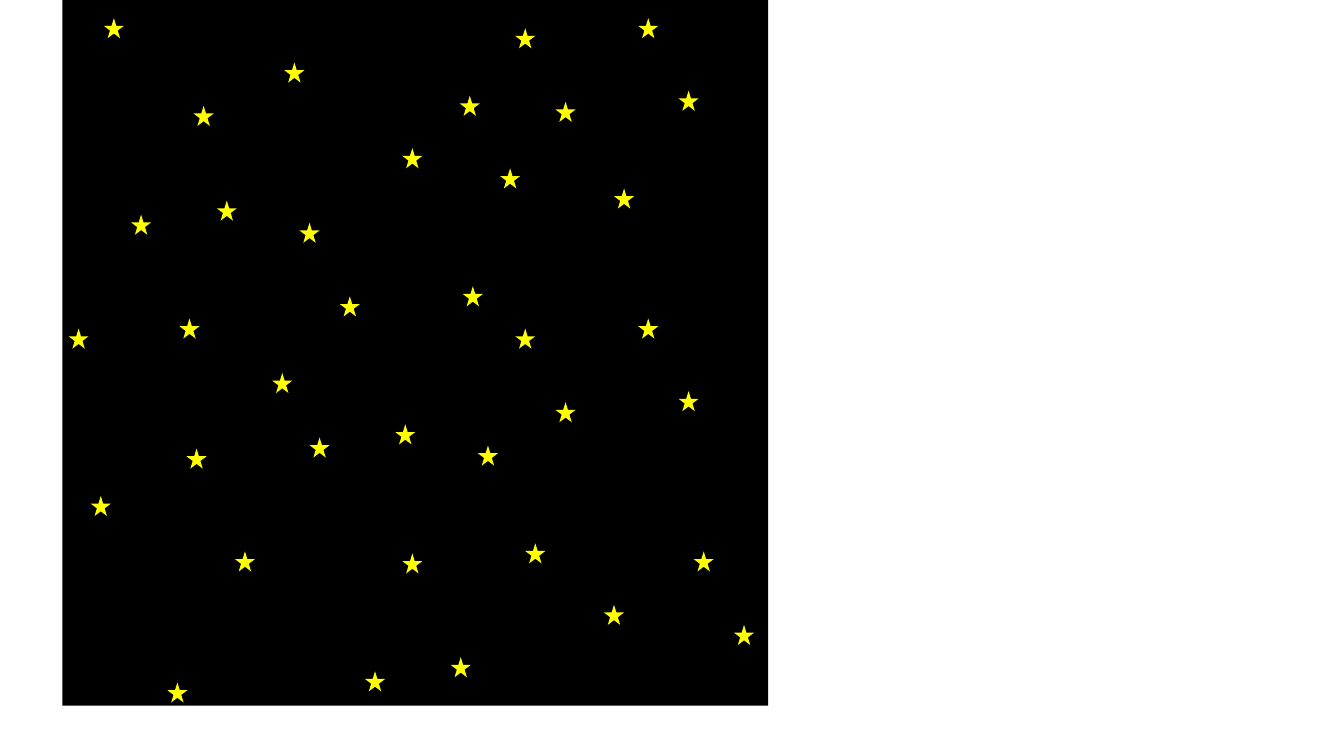
"""Build a slide with a square night sky full of yellow stars."""
from dataclasses import dataclass

from pptx import Presentation
from pptx import util as u
from pptx.dml.color import RGBColor
from pptx.enum import shapes


@dataclass(frozen=True)
class Theme:
    """Colours and sizes of the night sky."""
    sky: str = "000000"
    star: str = "FFFF00"
    sky_size: float = 7
    star_size: float = 0.2


THEME = Theme()
SKY_LEFT, SKY_TOP = 0.62, 0
STARS = [
    (4.56, 0.95), (4.96, 1.67), (2.15, 1.99), (5.11, 3.26), (5.51, 3.99),
    (2.7, 3.7), (3.99, 5.49), (1.92, 1.05), (2.82, 0.62), (3.99, 1.47),
    (1.3, 2.13), (2.97, 2.21), (3.37, 2.94), (0.68, 3.26), (1.85, 4.45),
    (6.33, 3.16), (6.73, 3.88), (3.92, 4.21), (5.21, 5.39), (6.88, 5.47),
    (7.28, 6.2), (4.47, 6.52), (5.99, 6), (4.59, 2.84), (1.78, 3.16),
    (3.07, 4.34), (4.74, 4.42), (2.33, 5.47), (3.62, 6.66), (5.11, 0.28),
    (5.51, 1.01), (6.33, 0.18), (6.73, 0.9), (6.09, 1.87), (1.03, 0.18),
    (1.66, 6.77), (0.9, 4.92),
]


def add_square(s, kind, left, top, size, color):
    """Add a filled shape of equal width and height without outline."""
    sp = s.shapes.add_shape(kind, u.Inches(left), u.Inches(top),
                            u.Inches(size), u.Inches(size))
    sp.shadow.inherit = False
    sp.fill.solid()
    sp.fill.fore_color.rgb = RGBColor.from_string(color)
    sp.line.fill.background()


def add_sky(s):
    """Add the dark square behind the stars."""
    add_square(s, shapes.MSO_SHAPE.RECTANGLE, SKY_LEFT, SKY_TOP,
               THEME.sky_size, THEME.sky)


def add_star(s, left, top):
    """Add one five-pointed star."""
    add_square(s, shapes.MSO_SHAPE.STAR_5_POINT, left, top,
               THEME.star_size, THEME.star)


def main():
    """Build and save the slide."""
    prs = Presentation()
    prs.slide_width, prs.slide_height = u.Inches(13.33), u.Inches(7.5)
    s = prs.slides.add_slide(prs.slide_layouts[6])
    add_sky(s)
    for left, top in STARS:
        add_star(s, left, top)
    prs.save("out.pptx")


main()
